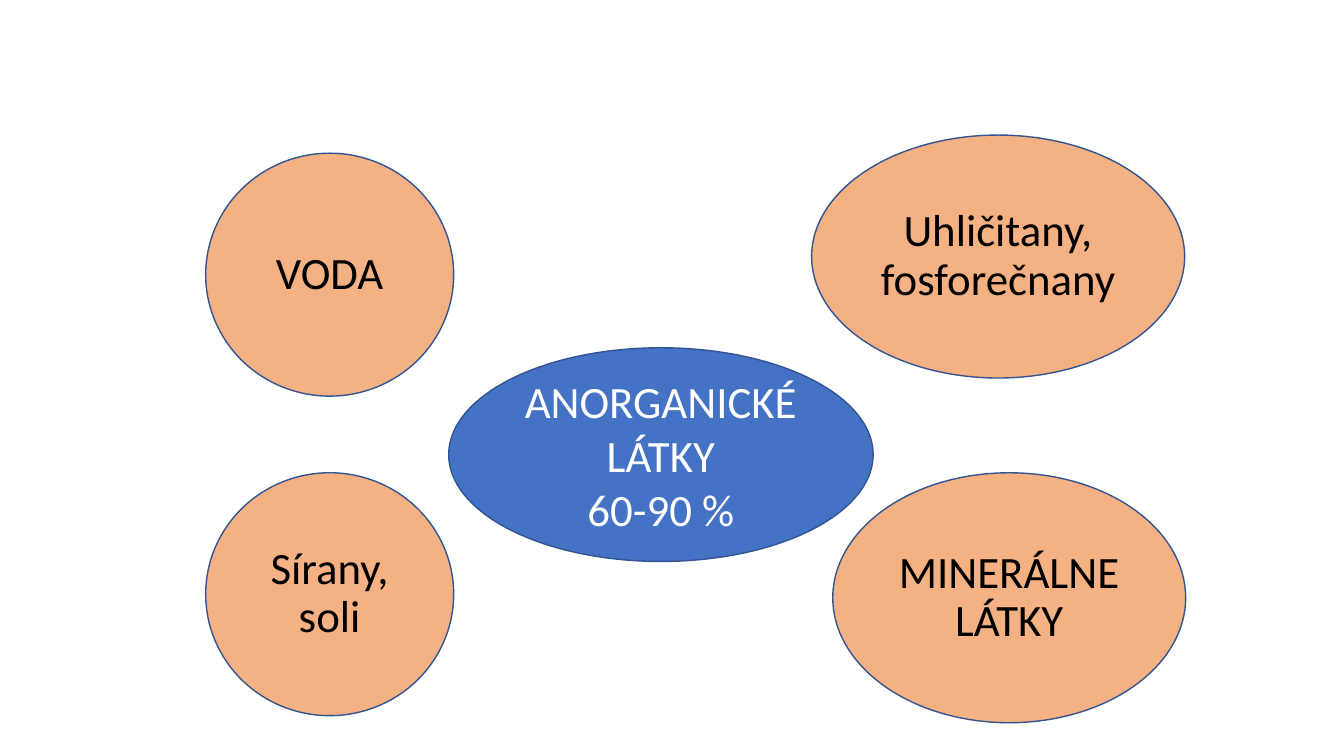
from pptx import Presentation
from pptx.dml.color import RGBColor
from pptx.enum.shapes import MSO_SHAPE
from pptx.enum.text import MSO_ANCHOR, PP_ALIGN
from pptx.util import Inches, Pt

ELLIPSE = MSO_SHAPE.OVAL
MIDDLE = MSO_ANCHOR.MIDDLE
CENTER = PP_ALIGN.CENTER

BLUE, ORANGE, OUTLINE = "4472C4", "F4B183", "325491"
WHITE, BLACK = "FFFFFF", "000000"

LEFT_COLUMN = 2.04
LOWER_ROW = 4.69
CIRCLE_SIZE = (2.46, 2.41)

SUBSTANCES = [
    ("VODA", LEFT_COLUMN, 1.52, *CIRCLE_SIZE),
    ("Uhličitany, fosforečnany", 8.05, 1.34, 3.7, 2.41),
    ("MINERÁLNE LÁTKY", 8.26, LOWER_ROW, 3.5, 2.48),
    ("Sírany, soli", LEFT_COLUMN, LOWER_ROW, *CIRCLE_SIZE),
]


def color(hex_value):
    return RGBColor.from_string(hex_value)


class SlideBuilder:
    font_name = "Calibri"
    font_size = Pt(32)
    line_width = Pt(1)

    def __init__(self, slide):
        self.slide = slide

    def ellipse(self, text, left, top, width, height, fill, text_color, line_spacing=1.0):
        shape = self.slide.shapes.add_shape(
            ELLIPSE, Inches(left), Inches(top), Inches(width), Inches(height))
        shape.shadow.inherit = False
        shape.fill.solid()
        shape.fill.fore_color.rgb = color(fill)
        shape.line.color.rgb = color(OUTLINE)
        shape.line.width = self.line_width
        shape.text_frame.word_wrap = True
        shape.text_frame.vertical_anchor = MIDDLE
        paragraph = shape.text_frame.paragraphs[0]
        paragraph.text = text
        paragraph.alignment = CENTER
        paragraph.line_spacing = line_spacing
        paragraph.font.name = self.font_name
        paragraph.font.size = self.font_size
        paragraph.font.color.rgb = color(text_color)


def main():
    presentation = Presentation()
    presentation.slide_width = Inches(13.33)
    presentation.slide_height = Inches(7.5)
    blank_layout = presentation.slide_layouts[6]
    builder = SlideBuilder(presentation.slides.add_slide(blank_layout))

    builder.ellipse("ANORGANICKÉ LÁTKY\n60-90 %", 4.45, 3.45, 4.21, 2.12, BLUE, WHITE)
    for text, left, top, width, height in SUBSTANCES:
        builder.ellipse(text, left, top, width, height, ORANGE, BLACK, line_spacing=0.9)

    presentation.save("out.pptx")


if __name__ == "__main__":
    main()
